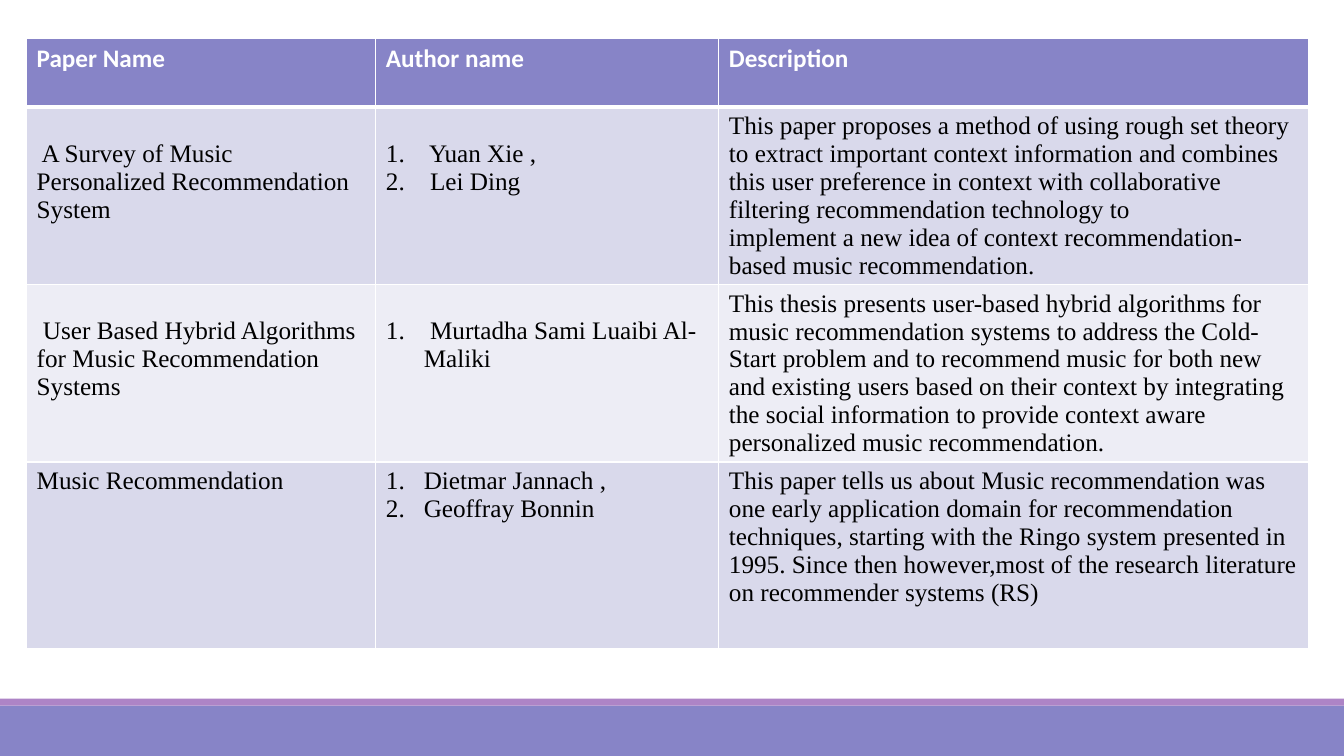
from lxml.etree import SubElement
from pptx import Presentation
from pptx.dml.color import RGBColor
from pptx.enum.shapes import MSO_SHAPE
from pptx.oxml.ns import qn
from pptx.util import Pt

COLORS = {
    "header": "8784C7", "accent": "AD84C6", "odd": "D9D9EB",
    "even": "EDEDF5", "light": "FFFFFF", "dark": "000000",
}
HEADERS = ["Paper Name", "Author name", "Description"]
# Each paper: name, authors, description paragraphs, names start one line lower
PAPERS = [
    (" A Survey of Music Personalized Recommendation System",
     [" Yuan Xie ,", " Lei Ding"],
     ["This paper proposes a method of using rough set theory to extract important "
      "context information and combines this user preference in context with "
      "collaborative filtering recommendation technology to",
      "implement a new idea of context recommendation-based music recommendation."],
     True),
    (" User Based Hybrid Algorithms for Music Recommendation Systems",
     [" Murtadha Sami Luaibi Al-Maliki"],
     ["This thesis presents user-based hybrid algorithms for music recommendation "
      "systems to address the Cold-Start problem and to recommend music for both new "
      "and existing users based on their context by integrating the social information "
      "to provide context aware personalized music recommendation."],
     True),
    ("Music Recommendation",
     ["Dietmar Jannach ,", "Geoffray Bonnin"],
     ["This paper tells us about Music recommendation was one early application "
      "domain for recommendation",
      "techniques, starting with the Ringo system presented in 1995. Since then "
      "however,most of the research literature on recommender systems (RS)"],
     False),
]
SLIDE_WIDTH, SLIDE_HEIGHT = 960, 540
TABLE_LEFT, TABLE_TOP = 19, 27.7
COLUMN_WIDTHS = [249.5, 245, 421]
ROW_HEIGHTS = [48.8, 126.5, 126.5, 133.3]
FOOTER_BARS = [(504, 36, "header"), (499, 5, "accent")]  # top, height, colour
FONT_SIZE, LINE_HEIGHT, CELL_MARGIN, LIST_INDENT = 18, 19.9, 3.6, 27


def rgb(name):
    """Return the named palette colour."""
    return RGBColor.from_string(COLORS[name])


def add_bar(slide, top, height, color):
    """Draw a full-width footer bar."""
    bar = slide.shapes.add_shape(
        MSO_SHAPE.RECTANGLE, 0, Pt(top), Pt(SLIDE_WIDTH), Pt(height))
    bar.shadow.inherit = False
    bar.fill.solid()
    bar.fill.fore_color.rgb = rgb(color)
    bar.line.fill.background()


def style_cell(cell, color, borders):
    """Give a cell its white borders and its fill."""
    properties = cell._tc.get_or_add_tcPr()
    for side, width in borders.items():
        line = SubElement(properties, qn(f"a:ln{side}"), w=str(Pt(width)))
        fill = SubElement(line, qn("a:solidFill"))
        SubElement(fill, qn("a:srgbClr"), val=COLORS["light"])
    cell.fill.solid()
    cell.fill.fore_color.rgb = rgb(color)


def number_paragraph(paragraph):
    """Turn a paragraph into a numbered list item."""
    properties = paragraph._p.get_or_add_pPr()
    properties.set("marL", str(Pt(LIST_INDENT)))
    properties.set("indent", str(-Pt(LIST_INDENT)))
    SubElement(properties, qn("a:buFont"), typeface="+mj-lt")
    SubElement(properties, qn("a:buAutoNum"), type="arabicPeriod")


def write_cell(cell, lines, font, color, bold=False, numbered=False, lowered=False):
    """Write one paragraph per line, optionally numbered or a line lower."""
    cell.margin_top = Pt(CELL_MARGIN + (LINE_HEIGHT if lowered else 0))
    for index, line in enumerate(lines):
        frame = cell.text_frame
        paragraph = frame.add_paragraph() if index else frame.paragraphs[0]
        if numbered:
            number_paragraph(paragraph)
        run = paragraph.add_run()
        run.text = line
        run.font.name = font
        run.font.size = Pt(FONT_SIZE)
        run.font.bold = bold
        run.font.color.rgb = rgb(color)


def add_paper_table(slide):
    """Build the table of papers, authors and descriptions."""
    table = slide.shapes.add_table(
        len(ROW_HEIGHTS), len(COLUMN_WIDTHS), Pt(TABLE_LEFT), Pt(TABLE_TOP),
        Pt(sum(COLUMN_WIDTHS)), Pt(sum(ROW_HEIGHTS))).table
    for column, width in zip(table.columns, COLUMN_WIDTHS):
        column.width = Pt(width)
    for row, height in zip(table.rows, ROW_HEIGHTS):
        row.height = Pt(height)
    for row_index, row in enumerate(table.rows):
        color = "header" if row_index == 0 else ("even", "odd")[row_index % 2]
        borders = {"L": 1, "R": 1, "T": 3 if row_index == 1 else 1,
                   "B": 3 if row_index == 0 else 1}
        for cell in row.cells:
            style_cell(cell, color, borders)
    for column, header in enumerate(HEADERS):
        write_cell(table.cell(0, column), [header], "Calibri", "light", bold=True)
    for row_index, (name, authors, description, lowered) in enumerate(PAPERS, 1):
        for column, lines in enumerate([[name], authors, description]):
            write_cell(table.cell(row_index, column), lines, "Times New Roman", "dark",
                       numbered=column == 1, lowered=lowered and column < 2)


presentation = Presentation()
presentation.slide_width = Pt(SLIDE_WIDTH)
presentation.slide_height = Pt(SLIDE_HEIGHT)
slide = presentation.slides.add_slide(presentation.slide_layouts[6])
for top, height, color in FOOTER_BARS:
    add_bar(slide, top, height, color)
add_paper_table(slide)
presentation.save("out.pptx")
